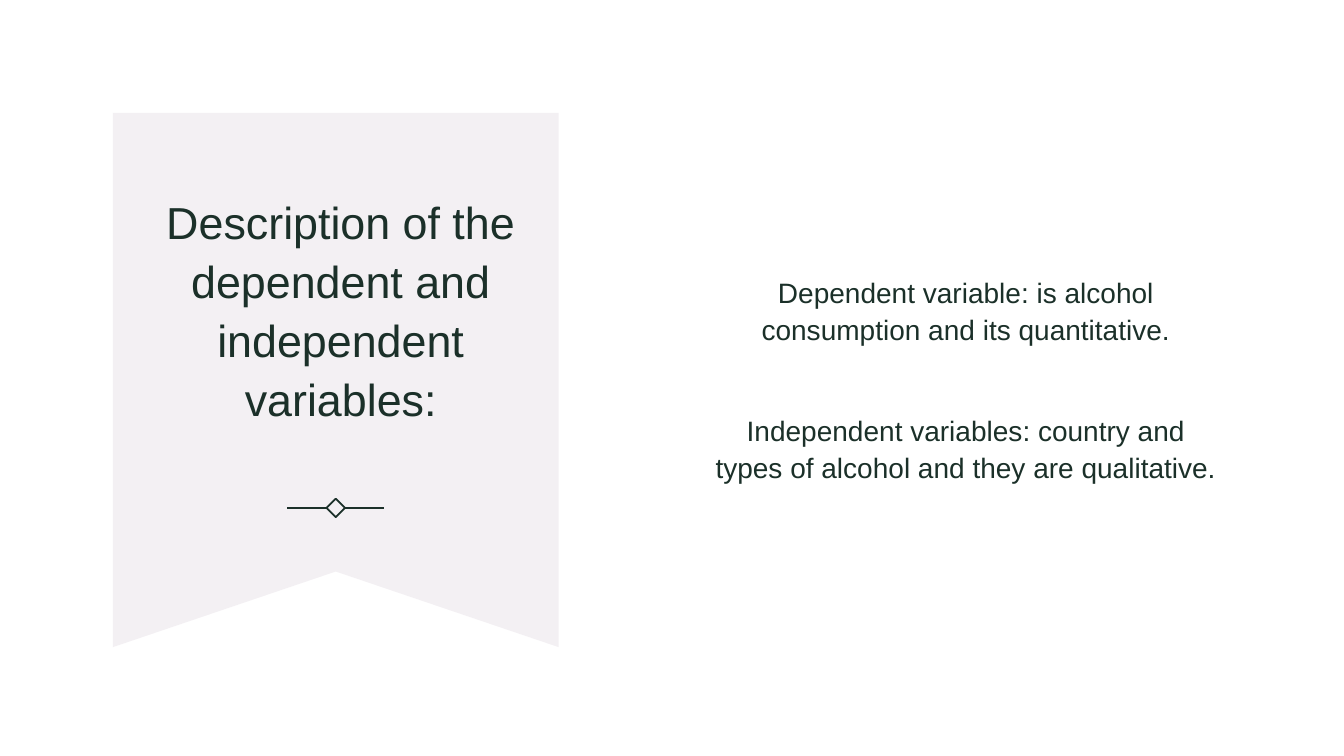
from lxml import etree
from pptx import Presentation
from pptx import util as u
from pptx.dml.color import RGBColor
from pptx.enum import shapes, text
from pptx.oxml.ns import qn

COLORS = {"paper": "FFFFFF", "ribbon": "F3F0F3", "ink": "1B3029"}
EMU_PER_PX = 9144


def px(*lengths):
    return [u.Emu(length * EMU_PER_PX) for length in lengths]


class SlideBuilder:
    font = "Arial"
    line_width = u.Pt(1.25)
    line_spacing = 1.1

    def __init__(self, slide):
        self.slide = slide

    def color(self, name):
        return RGBColor.from_string(COLORS[name])

    def background(self, color):
        fill = self.slide.background.fill
        fill.solid()
        fill.fore_color.rgb = self.color(color)

    def outline(self, shape):
        shape.line.color.rgb = self.color("ink")
        shape.line.width = self.line_width

    def polygon(self, points, color):
        builder = self.slide.shapes.build_freeform(*points[0], scale=EMU_PER_PX)
        builder.add_line_segments(points[1:], close=True)
        shape = builder.convert_to_shape()
        shape.shadow.inherit = False
        shape.fill.solid()
        shape.fill.fore_color.rgb = self.color(color)
        shape.line.fill.background()

    def diamond(self, center_x, center_y, side):
        shape = self.slide.shapes.add_shape(
            shapes.MSO_SHAPE.RECTANGLE,
            *px(center_x - side / 2, center_y - side / 2, side, side))
        shape.rotation = 45
        shape.shadow.inherit = False
        shape.fill.background()
        self.outline(shape)

    def line(self, left, right, y):
        connector = self.slide.shapes.add_connector(
            shapes.MSO_CONNECTOR.STRAIGHT, *px(left, y, right, y))
        self.outline(connector)
        properties = connector.element.find(qn("p:spPr"))
        etree.SubElement(properties, qn("a:effectLst"))

    def placeholder(self, index, box, size, paragraphs):
        shape = self.slide.placeholders[index]
        shape.left, shape.top, shape.width, shape.height = px(*box)
        shape.element.getparent().append(shape.element)
        frame = shape.text_frame
        frame.word_wrap = True
        frame.auto_size = text.MSO_AUTO_SIZE.NONE
        frame.vertical_anchor = text.MSO_ANCHOR.MIDDLE
        for number, (space_before, words) in enumerate(paragraphs):
            paragraph = frame.add_paragraph() if number else frame.paragraphs[0]
            paragraph.alignment = text.PP_ALIGN.CENTER
            paragraph.line_spacing = self.line_spacing
            paragraph.space_before = u.Pt(space_before)
            properties = paragraph.element.get_or_add_pPr() if hasattr(
                paragraph, "element") else paragraph._p.get_or_add_pPr()
            properties.set("marL", "0")
            properties.set("indent", "0")
            etree.SubElement(properties, qn("a:buNone"))
            run = paragraph.add_run()
            run.text = words
            run.font.name = self.font
            run.font.size = u.Pt(size)
            run.font.color.rgb = self.color("ink")


def main():
    presentation = Presentation()
    presentation.slide_width, presentation.slide_height = px(1333, 750)
    slide = presentation.slides.add_slide(presentation.slide_layouts[1])
    builder = SlideBuilder(slide)
    builder.background("paper")

    left, center, right = 112, 333, 554
    top, notch, bottom = 112, 567, 642
    builder.polygon(
        [(left, top), (right, top), (right, bottom), (center, notch), (left, bottom)],
        "ribbon")

    ornament_y = 504
    builder.diamond(center, ornament_y, 13)
    for side in (-1, 1):
        builder.line(center + side * 9, center + side * 48, ornament_y)

    builder.placeholder(0, (154, 148, 368, 314), 32, [
        (0, "Description of the dependent and independent variables:"),
    ])
    builder.placeholder(1, (699, 79, 518, 592), 20, [
        (10, "Dependent variable: is alcohol consumption and its quantitative."),
        (46, "Independent variables: country and types of alcohol and they are qualitative."),
    ])
    presentation.save("out.pptx")


if __name__ == "__main__":
    main()
